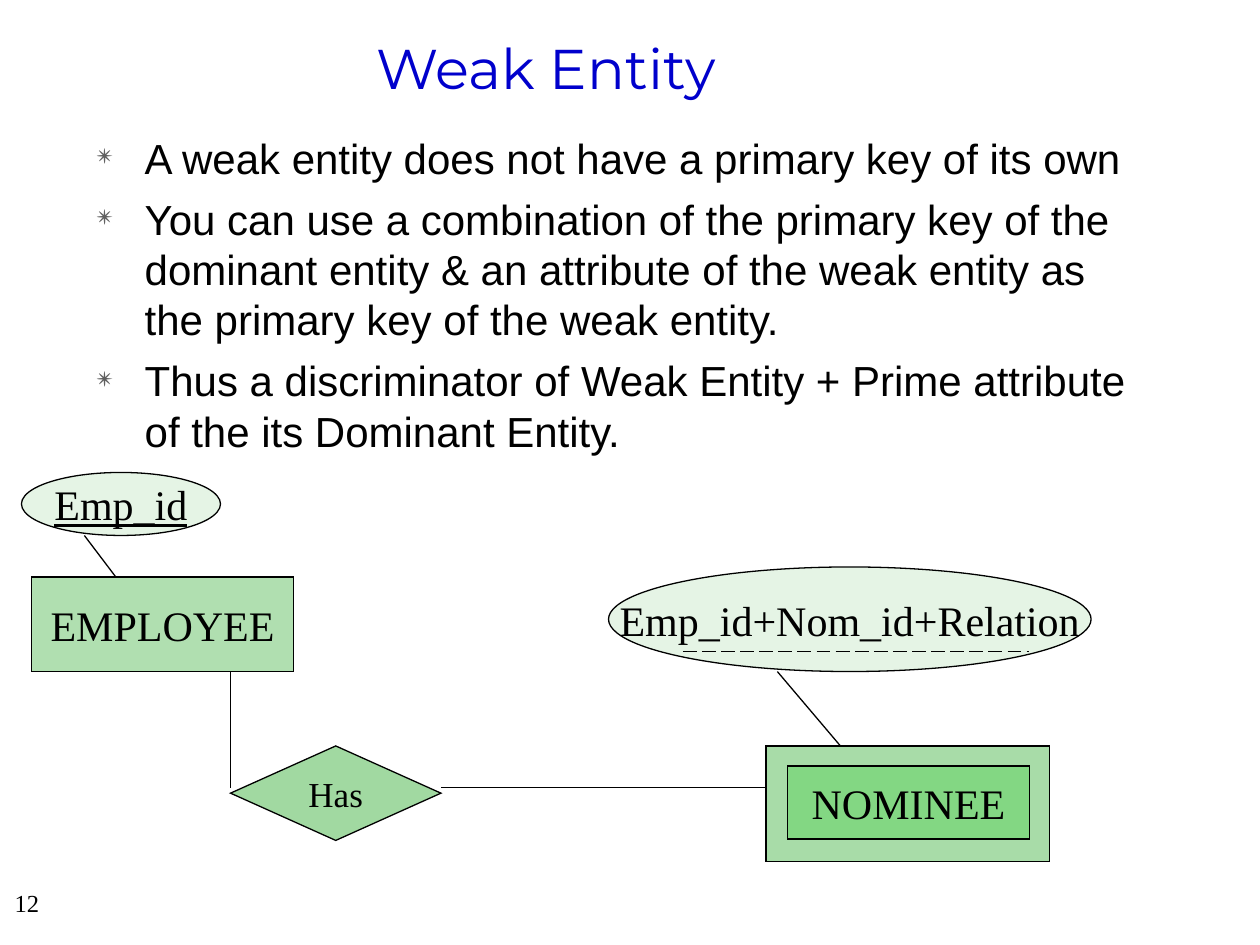
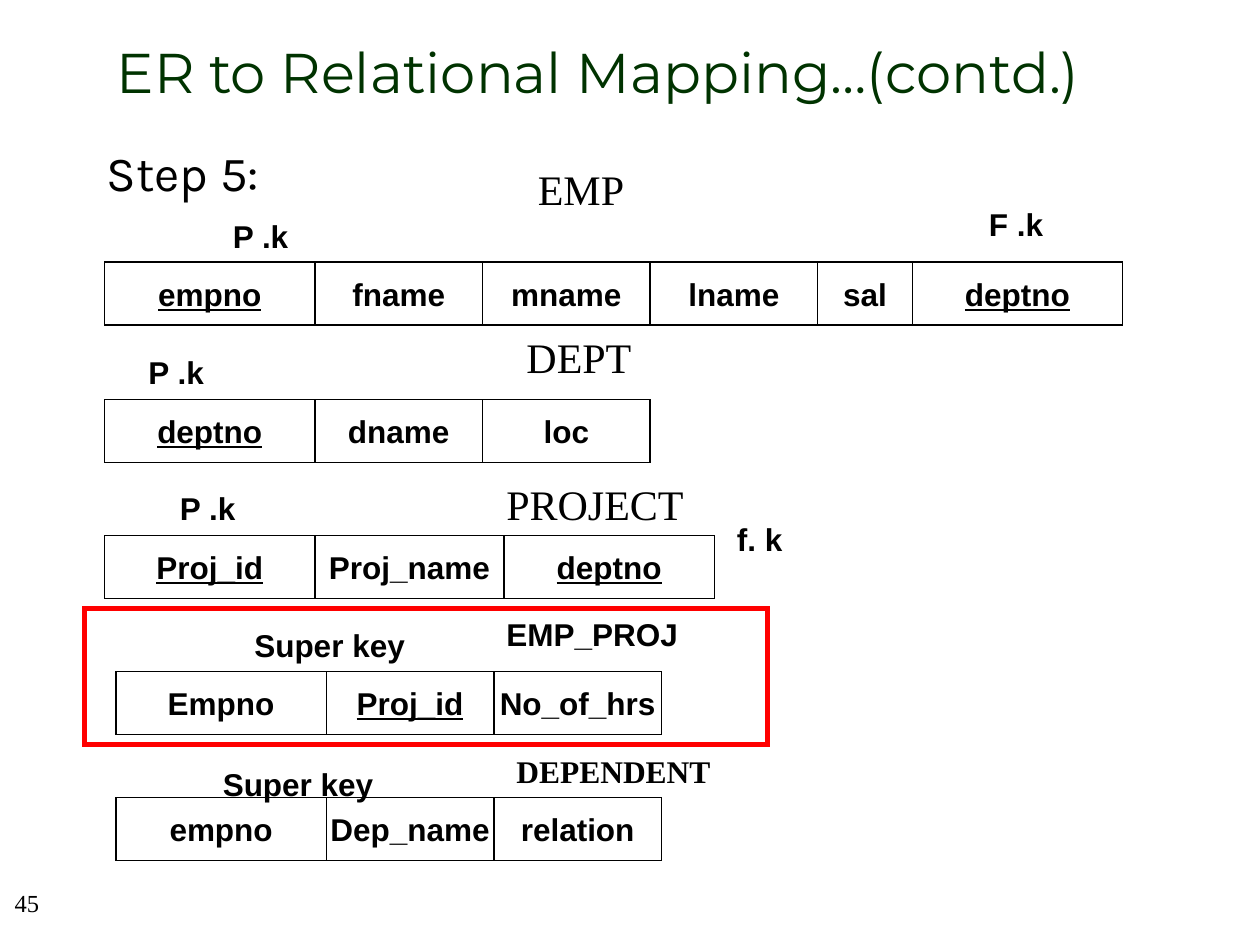
import pptx
import pptx.dml.color
import pptx.enum.dml
import pptx.enum.shapes
import pptx.enum.text
import pptx.oxml
import pptx.oxml.ns
import pptx.util
from pptx.util import Inches

RGBColor = pptx.dml.color.RGBColor
SHAPE = pptx.enum.shapes.MSO_SHAPE
ALIGN = pptx.enum.text.PP_ALIGN
ANCHOR = pptx.enum.text.MSO_ANCHOR
NAMESPACE = pptx.oxml.ns.nsdecls("a")

BLACK = RGBColor(0x00, 0x00, 0x00)
BLUE = RGBColor(0x00, 0x00, 0xCC)
DARK_GREEN = RGBColor(0x00, 0x33, 0x00)
GREEN = RGBColor(0x00, 0x99, 0x00)
BRIGHT_GREEN = RGBColor(0x33, 0xCC, 0x33)
RED = RGBColor(0xFF, 0x00, 0x00)
BULLET_GRAY = RGBColor(0x5F, 0x5F, 0x5F)
SERIF, SANS, TITLE_FONT, STEP_FONT = "Times New Roman", "Arial", "Montserrat", "Karla"

# Weak entity slide
WEAK_ENTITY_POINTS = [
    "A weak entity does not have a primary key of its own",
    "You can use a combination of the primary key of the dominant entity & an attribute "
    "of the weak entity as the primary key of the weak entity.",
    "Thus a discriminator of Weak Entity + Prime attribute of the its Dominant Entity.",
]
# kind, box, colour, opacity %, label, size, underlined
DIAGRAM_NODES = [
    (SHAPE.RECTANGLE, (6.08, 5.92, 2.25, 0.92), GREEN, 34, "", 24, False),
    (SHAPE.RECTANGLE, (6.25, 6.08, 1.92, 0.58), BRIGHT_GREEN, 31, "NOMINEE", 24, False),
    (SHAPE.RECTANGLE, (0.25, 4.58, 2.08, 0.75), GREEN, 31, "EMPLOYEE", 24, False),
    (SHAPE.FLOWCHART_DECISION, (1.83, 5.92, 1.67, 0.75), GREEN, 37, "Has", 20, False),
    (SHAPE.OVAL, (4.83, 4.5, 3.83, 0.83), GREEN, 10, "Emp_id+Nom_id+Relation", 24, False),
    (SHAPE.OVAL, (0.17, 3.75, 1.58, 0.5), GREEN, 10, "Emp_id", 24, True),
]
DIAGRAM_LINKS = [
    (1.83, 6.25, 1.83, 5.33),
    (3.5, 6.25, 6.08, 6.25),
    (6.17, 5.33, 6.67, 5.92),
    (0.67, 4.25, 0.92, 4.58),
]
DISCRIMINATOR_UNDERLINE = (5.42, 5.17, 8.17, 5.17)

# Mapping slide: left, top, then (column, width, underlined)
ROW_HEIGHT = 0.5
KEY_WIDTH, FIELD_WIDTH = 1.67, 1.33
RELATIONS = [
    (0.83, 2.08, [("empno", KEY_WIDTH, True), ("fname", FIELD_WIDTH, False),
                  ("mname", FIELD_WIDTH, False), ("lname", FIELD_WIDTH, False),
                  ("sal", 0.75, False), ("deptno", KEY_WIDTH, True)]),
    (0.83, 3.17, [("deptno", KEY_WIDTH, True), ("dname", FIELD_WIDTH, False),
                  ("loc", FIELD_WIDTH, False)]),
    (0.83, 4.25, [("Proj_id", KEY_WIDTH, True), ("Proj_name", 1.5, False),
                  ("deptno", KEY_WIDTH, True)]),
    (0.92, 5.33, [("Empno", KEY_WIDTH, False), ("Proj_id", FIELD_WIDTH, True),
                  ("No_of_hrs", FIELD_WIDTH, False)]),
    (0.92, 6.33, [("empno", KEY_WIDTH, False), ("Dep_name", FIELD_WIDTH, False),
                  ("relation", FIELD_WIDTH, False)]),
]
# text, box, size, font, bold
RELATION_LABELS = [
    ("Step 5:", (0.75, 1.08, 1.67, 0.56), 28, STEP_FONT, False),
    ("EMP", (4.17, 1.25, 1.1, 0.5), 24, SERIF, False),
    ("DEPT", (4.08, 2.58, 1.2, 0.5), 24, SERIF, False),
    ("PROJECT", (3.92, 3.75, 2.43, 0.5), 24, SERIF, False),
    ("EMP_PROJ", (3.92, 4.83, 2.42, 0.4), 18, SANS, True),
    ("DEPENDENT", (4, 5.92, 2.43, 0.4), 18, SERIF, True),
    ("P .k", (1.75, 1.67, 0.83, 0.4), 18, SANS, True),
    ("F .k", (7.75, 1.58, 0.83, 0.4), 18, SANS, True),
    ("P .k", (1.08, 2.75, 0.83, 0.4), 18, SANS, True),
    ("P .k", (1.33, 3.83, 0.83, 0.4), 18, SANS, True),
    ("f. k", (5.75, 4.08, 0.83, 0.4), 18, SANS, True),
    ("Super key", (1.92, 4.92, 1.75, 0.4), 18, SANS, True),
    ("Super key", (1.67, 6.02, 2, 0.4), 18, SANS, True),
]
NEW_RELATION_FRAME = (0.67, 4.83, 5.42, 1.08)


def inches(values):
    return [Inches(value) for value in values]


def add_run(paragraph, text, size, font=SERIF, color=BLACK, bold=False, underline=False):
    run = paragraph.add_run()
    run.text = text
    run.font.size = pptx.util.Pt(size)
    run.font.name = font
    run.font.color.rgb = color
    run.font.bold = bold
    run.font.underline = underline


def add_text(slide, box, text, size, font=SERIF, color=BLACK, bold=False,
             align=ALIGN.LEFT, anchor=ANCHOR.TOP):
    frame = slide.shapes.add_textbox(*inches(box)).text_frame
    frame.word_wrap = True
    frame.vertical_anchor = anchor
    paragraph = frame.paragraphs[0]
    paragraph.alignment = align
    add_run(paragraph, text, size, font, color, bold)


def add_title(slide, box, text, color, anchor):
    add_text(slide, box, text, 32, TITLE_FONT, color, align=ALIGN.CENTER, anchor=anchor)


def add_slide_number(slide, number):
    add_text(slide, (-0.17, 7, 0.58, 0.5), number, 14, align=ALIGN.RIGHT)


def add_outlined_shape(slide, kind, box, line_color=BLACK, line_width=0.75):
    """Add an unfilled shape with a sharp-cornered outline."""
    shape = slide.shapes.add_shape(kind, *inches(box))
    shape.shadow.inherit = False
    shape.fill.background()
    shape.line.color.rgb = line_color
    shape.line.width = pptx.util.Pt(line_width)
    shape.line._get_or_add_ln().append(
        pptx.oxml.parse_xml(f'<a:miter {NAMESPACE} lim="800000"/>'))
    return shape


def add_centred_label(shape, text, size, font=SERIF, bold=False, underline=False):
    frame = shape.text_frame
    frame.word_wrap = False
    frame.vertical_anchor = ANCHOR.MIDDLE
    paragraph = frame.paragraphs[0]
    paragraph.alignment = ALIGN.CENTER
    add_run(paragraph, text, size, font, bold=bold, underline=underline)


def fill_translucent(shape, color, opacity):
    shape.fill.solid()
    shape.fill.fore_color.rgb = color
    color_element = shape._element.spPr.find(pptx.oxml.ns.qn("a:solidFill"))[0]
    color_element.append(
        pptx.oxml.parse_xml(f'<a:alpha {NAMESPACE} val="{opacity * 1000}"/>'))


def add_line(slide, ends, width=0.75):
    connector = slide.shapes.add_connector(
        pptx.enum.shapes.MSO_CONNECTOR.STRAIGHT, *inches(ends))
    connector.line.color.rgb = BLACK
    connector.line.width = pptx.util.Pt(width)
    connector._element.spPr.append(pptx.oxml.parse_xml(f'<a:effectLst {NAMESPACE}/>'))
    return connector


def add_bullets(slide, box, points):
    frame = slide.shapes.add_textbox(*inches(box)).text_frame
    frame.word_wrap = True
    for index, point in enumerate(points):
        paragraph = frame.add_paragraph() if index else frame.paragraphs[0]
        if index:
            paragraph.space_before = pptx.util.Pt(6)
        properties = paragraph._p.get_or_add_pPr()
        properties.set("marL", str(Inches(0.38)))
        properties.set("indent", str(Inches(-0.38)))
        for bullet_part in (
            f'<a:buClr {NAMESPACE}><a:srgbClr val="{BULLET_GRAY}"/></a:buClr>',
            f'<a:buSzPct {NAMESPACE} val="65000"/>',
            f'<a:buChar {NAMESPACE} char="✴"/>',
        ):
            properties.append(pptx.oxml.parse_xml(bullet_part))
        add_run(paragraph, point, 24, SANS)


def build_weak_entity(slide):
    add_title(slide, (0.25, 0.21, 8.17, 0.64), "Weak Entity", BLUE, ANCHOR.BOTTOM)
    add_bullets(slide, (0.67, 1, 8.42, 2.67), WEAK_ENTITY_POINTS)
    for kind, box, color, opacity, label, size, underline in DIAGRAM_NODES:
        node = add_outlined_shape(slide, kind, box)
        fill_translucent(node, color, opacity)
        if label:
            add_centred_label(node, label, size, underline=underline)
    for ends in DIAGRAM_LINKS:
        add_line(slide, ends)
    discriminator = add_line(slide, DISCRIMINATOR_UNDERLINE, 1)
    discriminator.line.dash_style = pptx.enum.dml.MSO_LINE.LONG_DASH
    add_slide_number(slide, "12")


def build_relational_mapping(slide):
    add_title(slide, (0.25, 0.13, 9, 0.87), "ER to Relational Mapping…(contd.)",
              DARK_GREEN, ANCHOR.MIDDLE)
    for left, top, columns in RELATIONS:
        for name, width, underline in columns:
            cell = add_outlined_shape(slide, SHAPE.RECTANGLE, (left, top, width, ROW_HEIGHT))
            add_centred_label(cell, name, 18, SANS, True, underline)
            left += width
    for text, box, size, font, bold in RELATION_LABELS:
        add_text(slide, box, text, size, font, bold=bold)
    add_outlined_shape(slide, SHAPE.RECTANGLE, NEW_RELATION_FRAME, RED, 3)
    add_slide_number(slide, "45")


def main():
    presentation = pptx.Presentation()
    presentation.slide_width = Inches(10)
    presentation.slide_height = Inches(7.5)
    for build in (build_weak_entity, build_relational_mapping):
        build(presentation.slides.add_slide(presentation.slide_layouts[6]))
    presentation.save("out.pptx")


if __name__ == "__main__":
    main()
